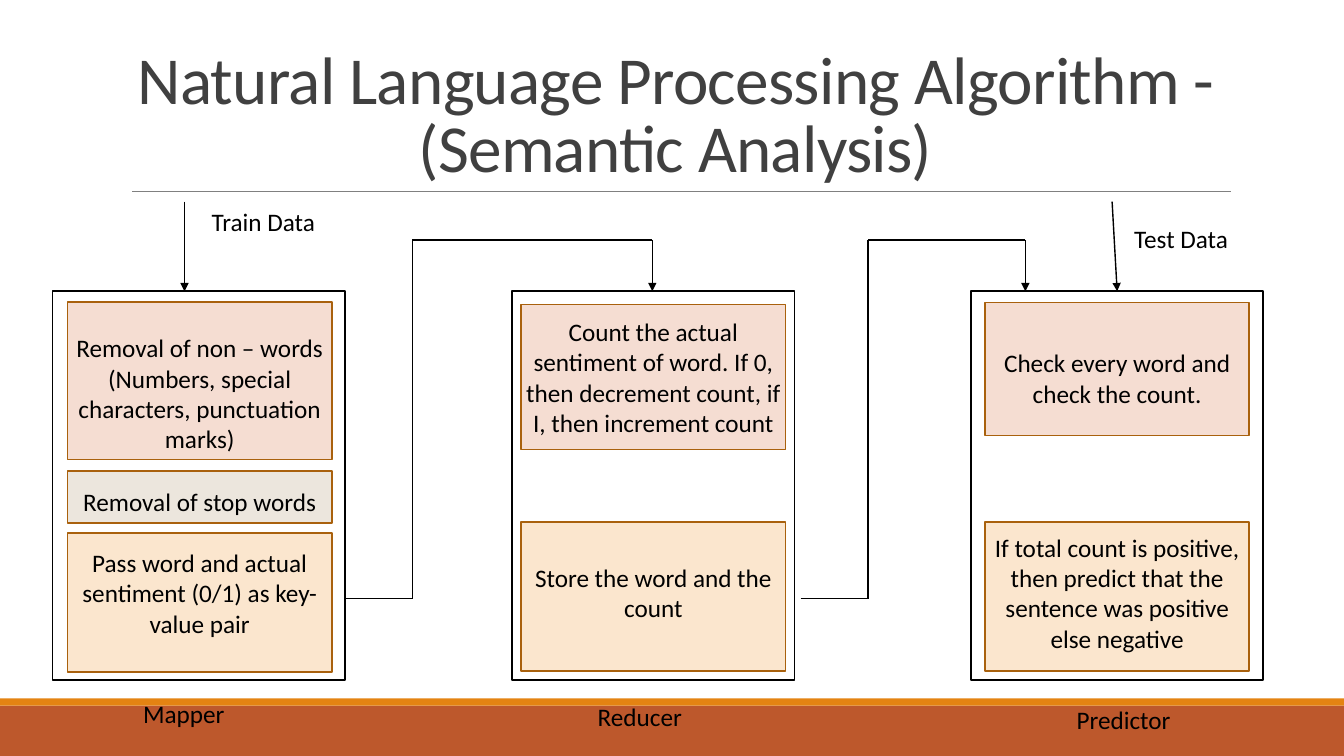
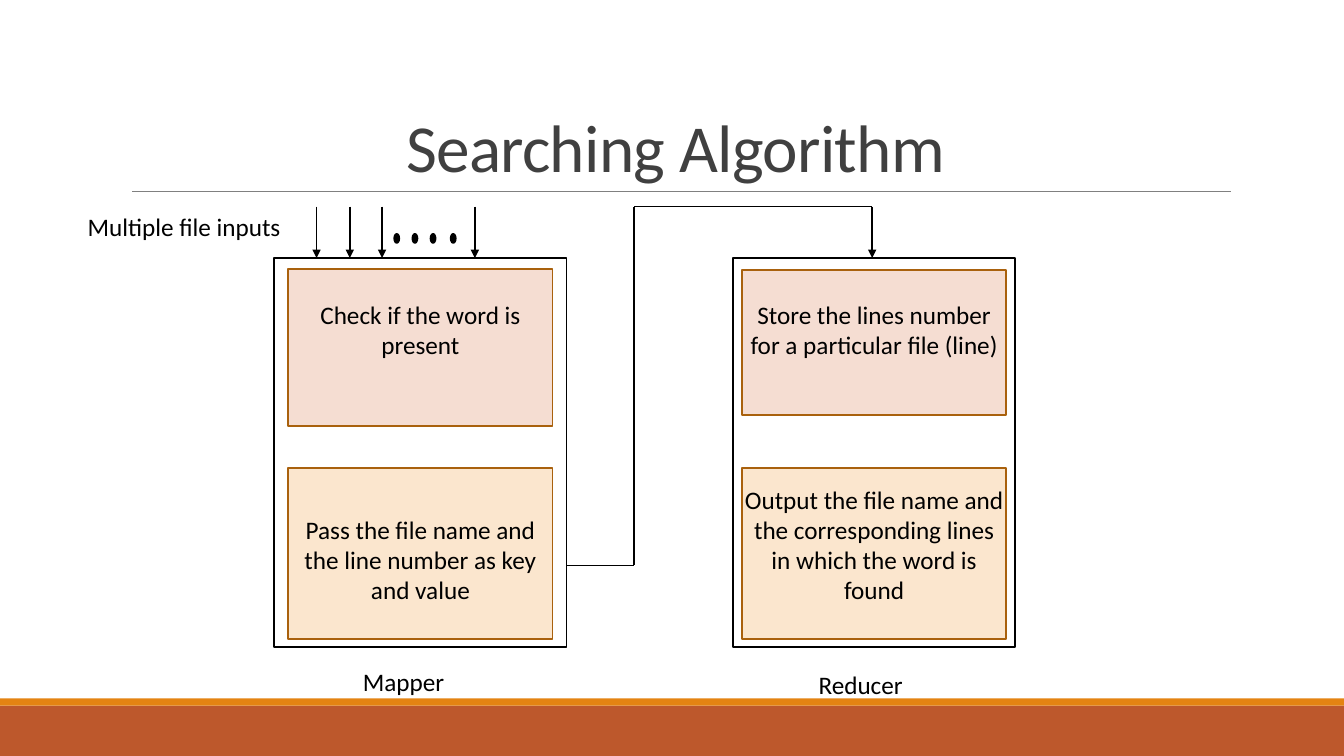
from itertools import pairwise

from lxml import etree
from pptx import Presentation
from pptx.dml.color import RGBColor
from pptx.enum.shapes import MSO_CONNECTOR as CONN, MSO_SHAPE as SHAPE
from pptx.enum.text import MSO_ANCHOR, MSO_AUTO_SIZE, PP_ALIGN
from pptx.oxml import parse_xml
from pptx.oxml.ns import nsdecls, qn
from pptx.util import Inches, Pt

COLORS = {
    "band": "BD582C", "stripe": "E48312", "rule": "808080", "title": "404040",
    "ink": "000000", "edge": "A9610D",
    "rose": "F5DDD2", "grey": "ECE6DD", "sand": "FBE6CE",
}
FONT = "Calibri"
CARD_WIDTH = 2.62
FRAME_HEIGHT = 3.86


def rgb(name):
    return RGBColor.from_string(COLORS[name])


def set_attrs(obj, values):
    for name, value in values.items():
        setattr(obj, name, value)


def add_box(s, at, fill=None, line=None, kind=SHAPE.RECTANGLE):
    sp = s.shapes.add_shape(kind, *map(Inches, at))
    sp.shadow.inherit = False
    if fill:
        sp.fill.solid()
        sp.fill.fore_color.rgb = rgb(fill)
    else:
        sp.fill.background()
    if line:
        sp.line.color.rgb = rgb(line)
        sp.line.width = Pt(1.25)
    else:
        sp.line.fill.background()
    return sp


def add_line(s, start, end, color="ink", width=1, arrow=False):
    line = s.shapes.add_connector(CONN.STRAIGHT, *map(Inches, (*start, *end)))
    line.line.color.rgb = rgb(color)
    line.line.width = Pt(width)
    if arrow:
        tail = etree.SubElement(line.line._get_or_add_ln(), qn("a:tailEnd"))
        tail.set("type", "triangle")
    etree.SubElement(line.element.spPr, qn("a:effectLst"))
    return line


def add_route(s, *points):
    legs = list(pairwise(points))
    for i, (start, end) in enumerate(legs, 1):
        add_line(s, start, end, arrow=i == len(legs))


def write(tf, text, align):
    tf.text = text
    for p in tf.paragraphs:
        p.alignment = align
        set_attrs(p.font, {"name": FONT, "size": Pt(18)})
        p.font.color.rgb = rgb("ink")


def add_label(s, text, left, top, width=1.42):
    tf = s.shapes.add_textbox(*map(Inches, (left, top, width, 0.4))).text_frame
    set_attrs(tf, {"word_wrap": True, "auto_size": MSO_AUTO_SIZE.SHAPE_TO_FIT_TEXT})
    write(tf, text, PP_ALIGN.LEFT)


def add_stage(s, left, top, width, card_left, cards):
    add_box(s, (left, top, width, FRAME_HEIGHT), line="ink")
    for fill, card_top, height, inset, text in cards:
        sp = add_box(s, (card_left, card_top, CARD_WIDTH, height), fill, "edge")
        tf = sp.text_frame
        set_attrs(tf, {
            "word_wrap": True, "vertical_anchor": MSO_ANCHOR.TOP,
            "margin_left": Inches(0.01), "margin_right": Inches(0.01),
            "margin_top": Inches(inset), "margin_bottom": 0,
        })
        write(tf, text, PP_ALIGN.CENTER)


def style_layout(layout, s):
    decor = [
        add_box(s, (0, 7, 13.33, 0.5), "band"),
        add_box(s, (0, 6.93, 13.33, 0.07), "stripe"),
        add_line(s, (1.31, 1.9), (12.21, 1.9), "rule", 0.5),
    ]
    for i, sp in enumerate(decor):
        sp.element.xpath(".//p:cNvPr")[0].set("id", str(100 + i))
        layout.shapes.element.insert(2 + i, sp.element)
    title = next(ph for ph in layout.placeholders if ph.placeholder_format.idx == 0)
    set_attrs(title, {
        "left": Inches(1.2), "top": Inches(0.31),
        "width": Inches(11), "height": Inches(1.59),
    })
    set_attrs(title.text_frame, {
        "vertical_anchor": MSO_ANCHOR.BOTTOM, "word_wrap": True,
        "auto_size": MSO_AUTO_SIZE.NONE,
    })
    style = title.element.txBody.find(qn("a:lstStyle"))
    style.clear()
    style.append(parse_xml(
        f'<a:lvl1pPr {nsdecls("a")} algn="ctr"><a:lnSpc><a:spcPct val="85000"/></a:lnSpc>'
        f'<a:defRPr sz="4800" spc="-50"><a:solidFill><a:srgbClr val="{COLORS["title"]}"/>'
        f'</a:solidFill><a:latin typeface="{FONT}"/></a:defRPr></a:lvl1pPr>'
    ))


def build_semantic(s):
    s.shapes.title.text = "Natural Language Processing Algorithm - (Semantic Analysis)"
    top = 2.89
    add_stage(s, 0.52, top, 2.9, 0.67, [
        ("rose", 3, 1.56, 0.3,
         "Removal of non – words\n(Numbers, special characters, punctuation marks)"),
        ("grey", 4.67, 0.52, 0.15, "Removal of stop words"),
        ("sand", 5.29, 1.38, 0.14,
         "Pass word and actual sentiment (0/1) as key-value pair"),
    ])
    add_stage(s, 5.08, top, 2.8, 5.17, [
        ("rose", 3.02, 1.44, 0.12,
         "Count the actual sentiment of word. If 0, then decrement count, "
         "if I, then increment count"),
        ("sand", 5.18, 1.48, 0.4, "Store the word and the count"),
    ])
    add_stage(s, 9.63, top, 2.9, 9.77, [
        ("rose", 3, 1.32, 0.45, "Check every word and check the count."),
        ("sand", 5.18, 1.48, 0.1,
         "If total count is positive, then predict that the sentence was positive\n"
         "else negative"),
    ])
    add_route(s, (1.83, 2), (1.83, top))
    add_route(s, (11.03, 2), (11.08, top))
    for start, bend, end in [(3.42, 4.09, 6.47), (7.94, 8.61, 10.17)]:
        add_route(s, (start, 5.94), (bend, 5.94), (bend, 2.38), (end, 2.38), (end, top))
    for label in [("Train Data", 2, 2), ("Test Data", 11.15, 2.17),
                  ("Mapper", 1.32, 6.88), ("Reducer", 5.83, 6.91),
                  ("Predictor", 10.58, 6.94)]:
        add_label(s, *label)


def build_searching(s):
    s.shapes.title.text = "Searching Algorithm"
    top, start = 2.56, 2.05
    add_stage(s, 2.72, top, 2.9, 2.86, [
        ("rose", 2.67, 1.56, 0.3, "Check if the word is present"),
        ("sand", 4.64, 1.7, 0.46,
         "Pass the file name and\nthe line number as key and value"),
    ])
    add_stage(s, 7.27, top, 2.8, 7.36, [
        ("rose", 2.68, 1.44, 0.29, "Store the lines number for a particular file (line)"),
        ("sand", 4.64, 1.7, 0.16,
         "Output the file name and the corresponding lines in which the word is found"),
    ])
    add_route(s, (5.62, 5.61), (6.29, 5.61), (6.29, start), (8.65, start), (8.65, top))
    for x in (3.14, 3.47, 3.79, 4.71):
        add_route(s, (x, start), (x, top))
    for x in (3.91, 4.09, 4.27, 4.47):
        add_box(s, (x, 2.32, 0.05, 0.09), "ink", "ink", SHAPE.OVAL)
    for label in [("Mapper", 3.5, 6.56), ("Reducer", 8.02, 6.59),
                  ("Multiple file inputs", 0.77, 2.05, 2.24)]:
        add_label(s, *label)


def main():
    prs = Presentation()
    set_attrs(prs, {"slide_width": Inches(13.33), "slide_height": Inches(7.5)})
    layout = prs.slide_layouts[5]
    semantic, searching = [prs.slides.add_slide(layout) for _ in range(2)]
    style_layout(layout, semantic)
    build_semantic(semantic)
    build_searching(searching)
    prs.save("out.pptx")


if __name__ == "__main__":
    main()
